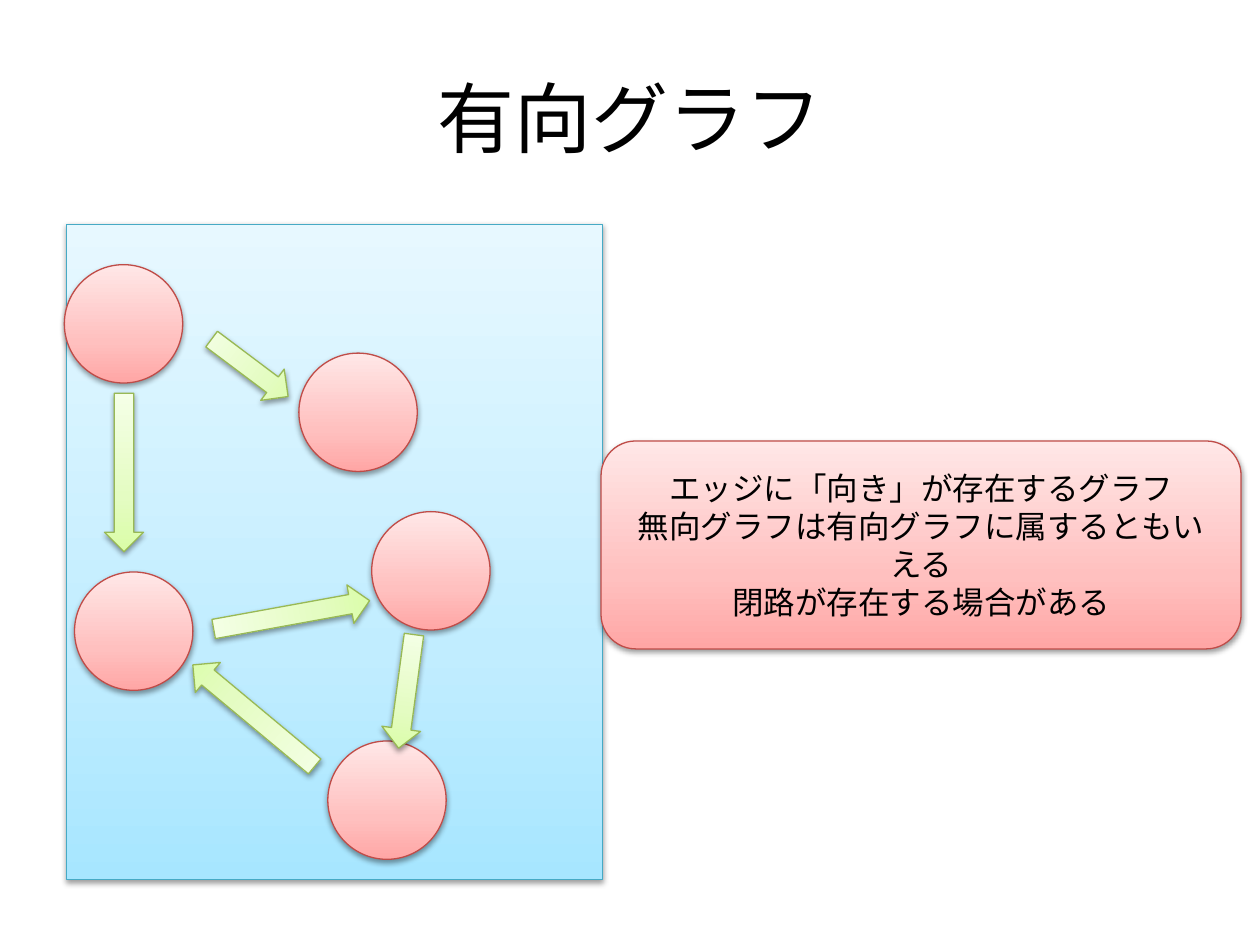
from dataclasses import dataclass

from lxml import etree
from pptx import Presentation
from pptx.dml.color import RGBColor
from pptx.enum.shapes import MSO_SHAPE
from pptx.enum.text import MSO_ANCHOR, PP_ALIGN
from pptx.oxml.ns import qn
from pptx.util import Emu, Inches, Pt

RECTANGLE = MSO_SHAPE.RECTANGLE
ROUNDED = MSO_SHAPE.ROUNDED_RECTANGLE
CIRCLE = MSO_SHAPE.OVAL
ARROW = MSO_SHAPE.DOWN_ARROW
CENTER = PP_ALIGN.CENTER
MIDDLE = MSO_ANCHOR.MIDDLE


@dataclass(frozen=True)
class Paint:
    """Gradient colours from bottom to top, and the outline colour."""
    stops: tuple
    line: str


@dataclass(frozen=True)
class Theme:
    """Colours, font and type sizes of the slide."""
    blue: Paint = Paint(("A7E6FF", "C1EDFF", "E7F8FF"), "46AAC5")
    red: Paint = Paint(("FFA6A5", "FFC0BF", "FFE7E7"), "BF4C48")
    green: Paint = Paint(("DAFDA7", "E4FCC2", "F5FFE7"), "98B955")
    ink: str = "000000"
    font: str = "Calibri"
    title: int = 44
    body: int = 18
    outline: float = 0.75
    positions: tuple = (0, 35, 100)


@dataclass(frozen=True)
class Box:
    """A rectangle in inches."""
    left: float
    top: float
    width: float
    height: float

    def emu(self):
        """Return the rectangle as slide lengths."""
        return [Inches(v) for v in (self.left, self.top, self.width, self.height)]

    def around(self, x, y, width, height):
        """Return a box centred at percent shares of this one."""
        return Box(self.left + self.width * x / 100 - width / 2,
                   self.top + self.height * y / 100 - height / 2, width, height)


THEME = Theme()
NODE_SHARE = 22.1
ARROW_SHARE = 7.3
NODES = [(10.6, 15.2), (54.4, 28.7), (12.5, 62.1), (68, 52.9), (59.8, 87.9)]
EDGES = [(10.7, 37.9, 24.2, 0), (42, 59.6, 24.2, 259.7), (34.2, 21.9, 14.6, 306.9),
         (34.9, 75, 24.2, 129.8), (63.4, 71.3, 17.5, 7.7)]
TITLE = "有向グラフ"
REMARKS = ["エッジに「向き」が存在するグラフ",
           "無向グラフは有向グラフに属するともいえる",
           "閉路が存在する場合がある"]


def add_color(parent, color):
    """Add an RGB colour element to a parent element."""
    return etree.SubElement(parent, qn("a:srgbClr"), val=color)


def add_panel(page, kind, box, paint):
    """Add a shape with a vertical gradient, an outline and a soft shadow."""
    shape = page.shapes.add_shape(kind, *box.emu())
    shape.fill.gradient()
    shape.fill.gradient_angle = 90
    stops = shape.element.spPr.find(".//" + qn("a:gsLst"))
    for stop in list(stops):
        stops.remove(stop)
    for position, color in zip(THEME.positions, paint.stops):
        add_color(etree.SubElement(stops, qn("a:gs"), pos=str(position * 1000)), color)
    shape.line.color.rgb = RGBColor.from_string(paint.line)
    shape.line.width = Pt(THEME.outline)
    shape.shadow.inherit = False
    effects = shape.element.spPr.find(qn("a:effectLst"))
    shadow = etree.SubElement(effects, qn("a:outerShdw"), blurRad=str(Emu(40000)),
                              dist=str(Emu(20000)), dir="5400000", rotWithShape="0")
    etree.SubElement(add_color(shadow, THEME.ink), qn("a:alpha"), val="38000")
    return shape


def write(shape, lines, size):
    """Write centred paragraphs into a shape."""
    frame = shape.text_frame
    frame.word_wrap = True
    frame.vertical_anchor = MIDDLE
    for index, line in enumerate(lines):
        para = frame.add_paragraph() if index else frame.paragraphs[0]
        para.alignment = CENTER
        span = para.add_run()
        span.text = line
        span.font.name = THEME.font
        span.font.size = Pt(size)
        span.font.color.rgb = RGBColor.from_string(THEME.ink)


def draw_title(page, box):
    """Draw the slide title."""
    write(page.shapes.add_textbox(*box.emu()), [TITLE], THEME.title)


def draw_graph(page, box):
    """Draw the directed graph on its backdrop."""
    add_panel(page, RECTANGLE, box, THEME.blue)
    diameter = box.width * NODE_SHARE / 100
    for x, y in NODES:
        add_panel(page, CIRCLE, box.around(x, y, diameter, diameter), THEME.red)
    thickness = box.width * ARROW_SHARE / 100
    for x, y, length, turn in EDGES:
        place = box.around(x, y, thickness, box.height * length / 100)
        add_panel(page, ARROW, place, THEME.green).rotation = turn


def draw_remarks(page, box):
    """Draw the rounded box with the explanation."""
    write(add_panel(page, ROUNDED, box, THEME.red), REMARKS, THEME.body)


def main():
    """Build and save the deck."""
    deck = Presentation()
    deck.slide_width, deck.slide_height = Inches(10), Inches(7.5)
    page = deck.slides.add_slide(deck.slide_layouts[6])
    draw_title(page, Box(0.5, 0.3, 9, 1.25))
    draw_graph(page, Box(0.53, 1.78, 4.25, 5.2))
    draw_remarks(page, Box(4.77, 3.5, 5.08, 1.65))
    deck.save("out.pptx")


main()
